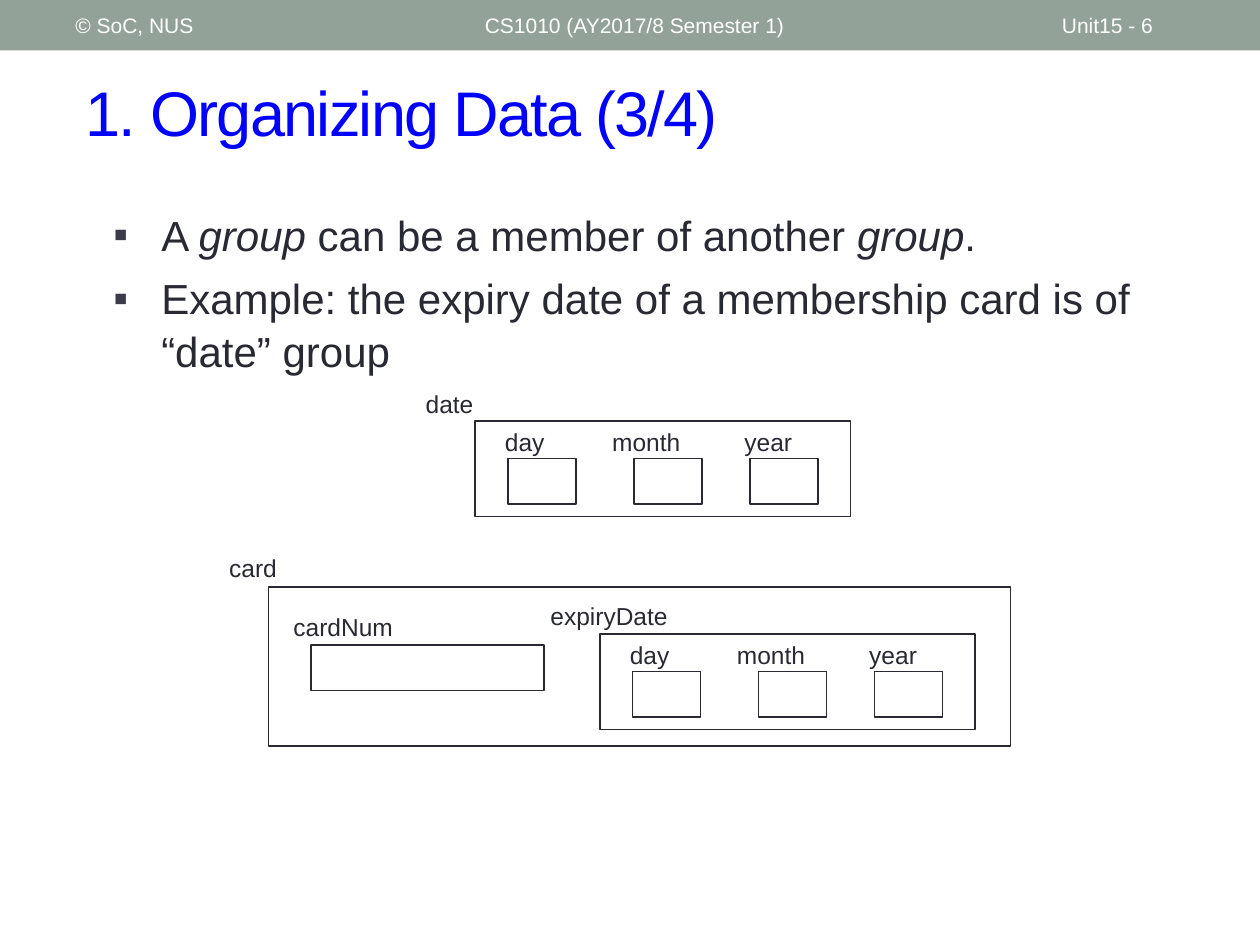
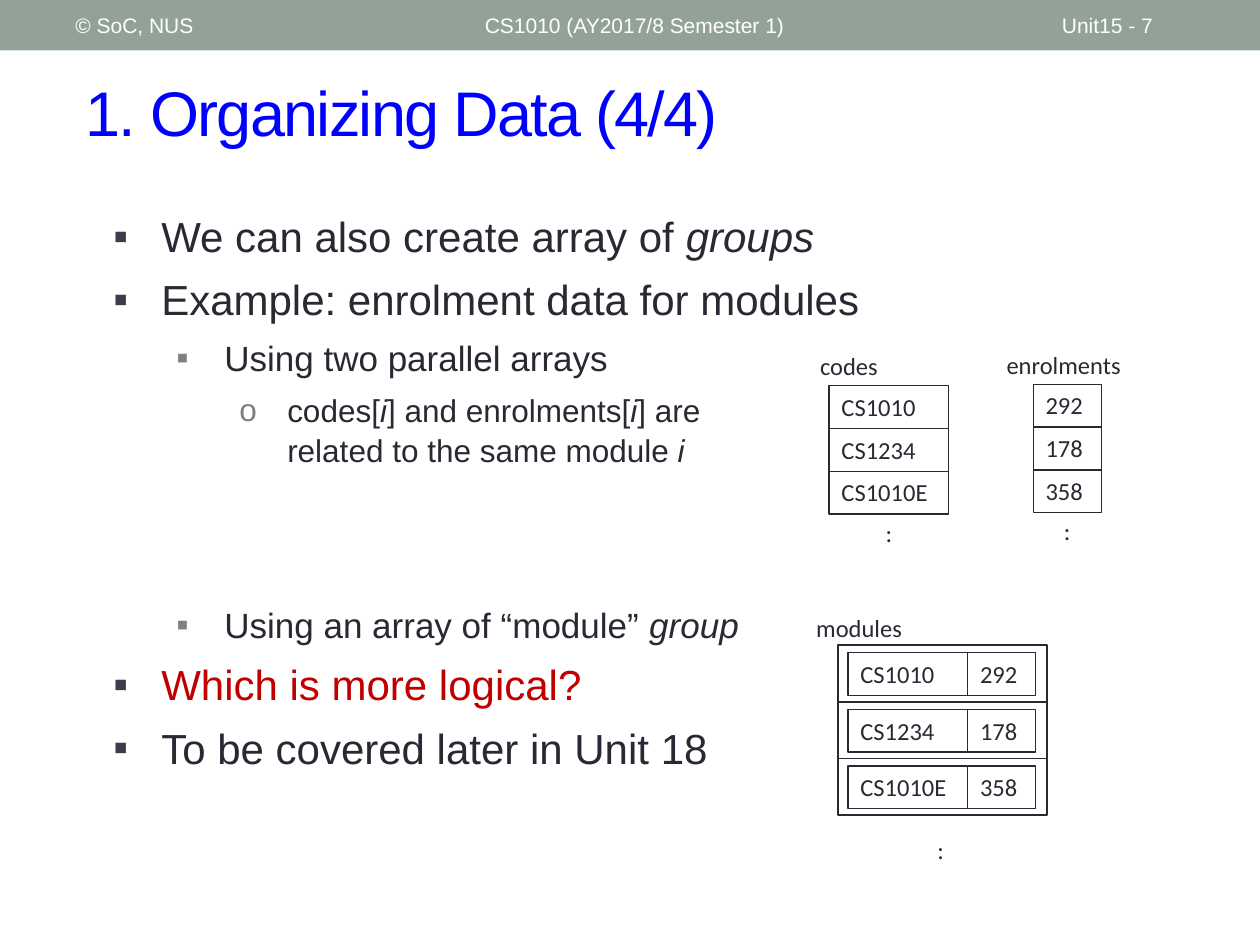
import pptx
import pptx.util
import pptx.dml.color
import pptx.enum.shapes
import pptx.enum.text
import pptx.oxml.ns
from lxml import etree

RGB = pptx.dml.color.RGBColor
Inches, Pt = pptx.util.Inches, pptx.util.Pt
ANCHOR = pptx.enum.text.MSO_ANCHOR
ALIGN = pptx.enum.text.PP_ALIGN

BAND, WHITE, BLUE = RGB(0x93, 0xA2, 0x99), RGB(0xFF, 0xFF, 0xFF), RGB(0, 0, 0xFF)
INK, RED = RGB(0x29, 0x29, 0x34), RGB(0xC0, 0, 0)
SLATE, GREY = RGB(0x3B, 0x3B, 0x4B), RGB(0x80, 0x80, 0x80)

HEADER_FONT = dict(name="Arial", size=Pt(12))
TITLE_FONT = dict(name="Arial", size=Pt(36))
LABEL_FONT = dict(name="Arial", size=Pt(14))
CELL_FONT = dict(name="Calibri", size=Pt(14))

# (left, width, text); the unit number is filled in per slide
HEADER = [(3.75, 4.5, "CS1010 (AY2017/8 Semester 1)"),
          (8.33, 1.17, "Unit15 - {}"),
          (0.5, 3.17, "© SoC, NUS")]
# per list level: size, bullet, bullet colour
LEVELS = [(24, "▪", SLATE), (20, "▪", GREY), (18, "o", GREY)]
GAP, WIDE_GAP = 6, 76

# (level, text, colour, space before); underscores enclose italics
GROUP_POINTS = [
    (0, "A _group _can be a member of another _group_.", INK, 0),
    (0, "Example: the expiry date of a membership card is of “date” group", INK, GAP),
]
ARRAY_POINTS = [
    (0, "We can also create array of _groups_", INK, 0),
    (0, "Example: enrolment data for modules", INK, GAP),
    (1, "Using two parallel arrays", INK, GAP),
    (2, "codes[_i_] and enrolments[_i_] are\nrelated to the same module _i_", INK, GAP),
    (1, "Using an array of “module” _group_", INK, WIDE_GAP),
    (0, "Which is more logical?", RED, GAP),
    (0, "To be covered later in Unit 18", INK, GAP),
]

# (name, label offset, label width, box offset) inside a date group
DATE_FIELDS = [("day", 0.14, 0.54, 0.26), ("month", 0.99, 0.81, 1.26),
               ("year", 2.04, 0.65, 2.18)]
MODULES = [("CS1010", "292"), ("CS1234", "178"), ("CS1010E", "358")]
CODE_W, COUNT_W, CELL_H, RECORD_H = 0.95, 0.54, 0.34, 0.45


def format_font(font, color, values):
    font.color.rgb = color
    for key, value in values.items():
        setattr(font, key, value)


def write(sp, text, font, color=INK, align=ALIGN.LEFT, anchor=ANCHOR.TOP):
    tf = sp.text_frame
    tf.word_wrap, tf.vertical_anchor = True, anchor
    p = tf.paragraphs[0]
    p.alignment = align
    r = p.add_run()
    r.text = text
    format_font(r.font, color, font)
    return r


def add_text(slide, x, y, w, text, font=LABEL_FONT, h=CELL_H, **style):
    sp = slide.shapes.add_textbox(*map(Inches, (x, y, w, h)))
    write(sp, text, font, **style)


def add_box(slide, x, y, w, h, line=1, text=None):
    sp = slide.shapes.add_shape(pptx.enum.shapes.MSO_SHAPE.RECTANGLE,
                                *map(Inches, (x, y, w, h)))
    sp.shadow.inherit = False
    sp.fill.background()
    sp.line.color.rgb, sp.line.width = INK, Pt(line)
    if text:
        write(sp, text, CELL_FONT)
    return sp


def place(sp, x, y, w, h):
    sp.left, sp.top, sp.width, sp.height = map(Inches, (x, y, w, h))


def set_bullet(p, level):
    size, char, color = LEVELS[level]
    pPr = p._p.get_or_add_pPr()
    pPr.set("marL", str(Inches(0.38 + 0.5 * level)))
    pPr.set("indent", str(-Inches(0.38)))
    qn = pptx.oxml.ns.qn
    clr = etree.SubElement(pPr, qn("a:buClr"))
    etree.SubElement(clr, qn("a:srgbClr")).set("val", str(color))
    etree.SubElement(pPr, qn("a:buFont")).set("typeface", "Arial")
    etree.SubElement(pPr, qn("a:buChar")).set("char", char)


def fill_list(sp, points):
    tf = sp.text_frame
    tf.auto_size = pptx.enum.text.MSO_AUTO_SIZE.NONE
    for n, (level, text, color, before) in enumerate(points):
        p = tf.paragraphs[0] if n == 0 else tf.add_paragraph()
        p.level = level
        set_bullet(p, level)
        p.line_spacing, p.space_before = 1.05, Pt(before)
        for k, part in enumerate(text.split("_")):
            for j, line in enumerate(part.split("\n")):
                if j:
                    p.add_line_break()
                if line:
                    r = p.add_run()
                    r.text = line
                    format_font(r.font, color, dict(
                        name="Arial", size=Pt(LEVELS[level][0]), italic=k % 2 == 1))


def add_slide(prs, number, title, points, body):
    slide = prs.slides.add_slide(prs.slide_layouts[1])
    band = add_box(slide, 0, 0, 10, 0.4)
    band.fill.solid()
    band.fill.fore_color.rgb = BAND
    band.line.fill.background()
    for x, w, text in HEADER:
        add_text(slide, x, 0.02, w, text.format(number), HEADER_FONT, 0.36,
                 color=WHITE, anchor=ANCHOR.MIDDLE)
    head, content = slide.placeholders
    place(head, 0.58, 0.42, 9.17, 0.92)
    r = write(head, title, TITLE_FONT, BLUE, anchor=ANCHOR.MIDDLE)
    r.font._element.set("spc", "-100")
    place(content, *body)
    fill_list(content, points)
    return slide


def add_date_group(slide, x, y):
    add_box(slide, x, y, 2.98, 0.76)
    for name, label_dx, label_w, box_dx in DATE_FIELDS:
        add_text(slide, x + label_dx, y, label_w, name)
        add_box(slide, x + box_dx, y + 0.3, 0.54, 0.36)


def add_array(slide, x, y, w, values):
    for n, value in enumerate(values):
        add_box(slide, x, y + n * CELL_H, w, CELL_H, 0.75, value)
    add_text(slide, x, y + len(values) * CELL_H - 0.02, w, ":", CELL_FONT,
             align=ALIGN.CENTER)


def add_records(slide, x, y):
    for n, (code, count) in enumerate(MODULES):
        top = y + n * RECORD_H
        add_box(slide, x, top, 1.66, RECORD_H)
        add_box(slide, x + 0.08, top + 0.06, CODE_W, CELL_H, 0.75, code)
        add_box(slide, x + 0.08 + CODE_W, top + 0.06, COUNT_W, CELL_H, 0.75, count)
    add_text(slide, x + 0.08, y + 1.46, 1.47, ":", CELL_FONT, align=ALIGN.CENTER)


def main():
    prs = pptx.Presentation()
    prs.slide_width, prs.slide_height = Inches(10), Inches(7.5)

    slide = add_slide(prs, 6, "1. Organizing Data (3/4)", GROUP_POINTS,
                      (0.8, 1.59, 8.57, 1.49))
    add_text(slide, 3.28, 3.04, 0.68, "date")
    add_date_group(slide, 3.77, 3.34)
    add_text(slide, 1.72, 4.34, 1.95, "card")
    add_box(slide, 2.13, 4.66, 5.89, 1.26)
    add_text(slide, 2.23, 4.81, 1.05, "cardNum")
    add_box(slide, 2.47, 5.12, 1.85, 0.36)
    add_text(slide, 4.27, 4.72, 1.44, "expiryDate")
    add_date_group(slide, 4.76, 5.03)

    slide = add_slide(prs, 7, "1. Organizing Data (4/4)", ARRAY_POINTS,
                      (0.8, 1.6, 8.57, 5.13))
    codes, counts = zip(*MODULES)
    add_text(slide, 6.41, 2.74, 0.79, "codes", CELL_FONT)
    add_array(slide, 6.58, 3.06, CODE_W, codes)
    add_text(slide, 7.89, 2.73, 1.15, "enrolments", CELL_FONT)
    add_array(slide, 8.2, 3.05, COUNT_W, counts)
    add_text(slide, 6.38, 4.82, 1.23, "modules", CELL_FONT)
    add_records(slide, 6.65, 5.12)

    prs.save("out.pptx")


if __name__ == "__main__":
    main()
